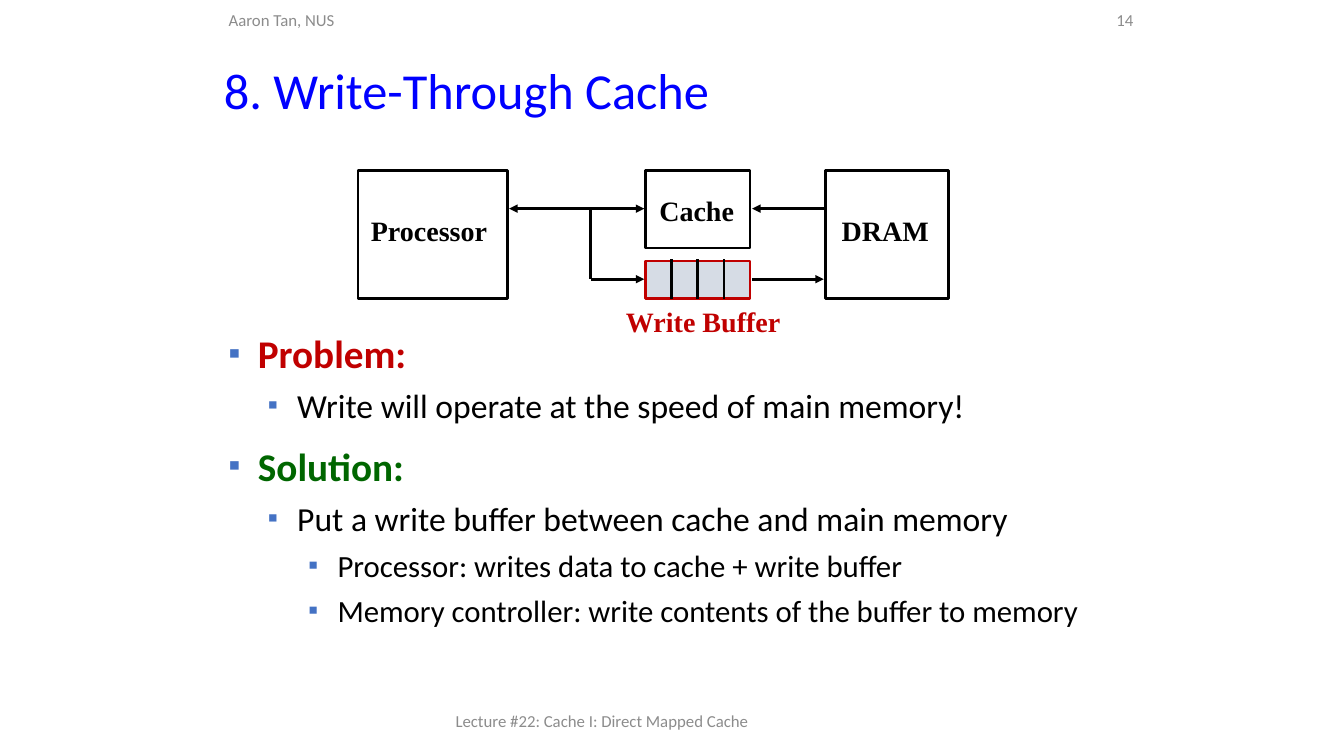
from pptx import Presentation
from pptx.dml.color import RGBColor
from pptx.enum.shapes import MSO_CONNECTOR as Connector, MSO_SHAPE as Shape
from pptx.enum.text import MSO_ANCHOR as Anchor, PP_ALIGN as Align
from pptx.oxml.ns import qn
from pptx.util import Inches, Pt
from lxml.etree import SubElement

BLACK, RED, GREEN, BLUE = "000000", "C00000", "006600", "0000FF"
GRAY, BULLET, BUFFER_FILL = "8C8C8C", "4472C4", "D6DCE5"
BODY_FONT, DIAGRAM_FONT = "Calibri", "Times New Roman"

# level: (left margin, bullet size in percent)
LEVELS = [(0.29, 85), (0.68, 85), (1.08, 90)]
HANGING = 0.29

# text, level, size, colour, bold, space before
BODY = [
    ("Problem:", 0, 28, RED, True, 0),
    ("Write will operate at the speed of main memory!", 1, 24, BLACK, False, 6),
    ("Solution:", 0, 28, GREEN, True, 12),
    ("Put a write buffer between cache and main memory", 1, 24, BLACK, False, 6),
    ("Processor: writes data to cache + write buffer", 2, 22, BLACK, False, 6),
    ("Memory controller: write contents of the buffer to memory", 2, 22, BLACK, False, 6),
]


def color(value):
    return RGBColor.from_string(value)


def write(para, text, size=20, fill=BLACK, font=BODY_FONT, bold=False, align=Align.LEFT):
    para.alignment = align
    span = para.add_run()
    span.text = text
    span.font.name = font
    span.font.size = Pt(size)
    span.font.bold = bold
    span.font.color.rgb = color(fill)


def add_text(page, area, text, anchor=Anchor.TOP, wrap=True, **style):
    frame = page.shapes.add_textbox(*map(Inches, area)).text_frame
    frame.word_wrap = wrap
    frame.vertical_anchor = anchor
    write(frame.paragraphs[0], text, **style)


def add_box(page, area, line=BLACK, fill=None):
    box = page.shapes.add_shape(Shape.RECTANGLE, *map(Inches, area))
    box.shadow.inherit = False
    box.line.color.rgb = color(line)
    box.line.width = Pt(2)
    if fill:
        box.fill.solid()
        box.fill.fore_color.rgb = color(fill)
    else:
        box.fill.background()


def add_line(page, start, end, head=False, tail=False):
    """Draw a line with an arrowhead at its start (head) or end (tail)."""
    points = map(Inches, (*start, *end))
    link = page.shapes.add_connector(Connector.STRAIGHT, *points)
    link.line.color.rgb = color(BLACK)
    link.line.width = Pt(2)
    line = link.line._get_or_add_ln()
    for tag, wanted in (("a:headEnd", head), ("a:tailEnd", tail)):
        if wanted:
            SubElement(line, qn(tag), type="triangle")
    SubElement(link._element.spPr, qn("a:effectLst"))


def set_bullet(para, level):
    margin, percent = LEVELS[level]
    para.level = level
    props = para._p.get_or_add_pPr()
    props.set("marL", str(Inches(margin)))
    props.set("indent", str(-Inches(HANGING)))
    SubElement(SubElement(props, qn("a:buClr")), qn("a:srgbClr"), val=BULLET)
    SubElement(props, qn("a:buSzPct"), val=str(percent * 1000))
    SubElement(props, qn("a:buFont"), typeface=BODY_FONT)
    SubElement(props, qn("a:buChar"), char="▪")


def add_title(page, text):
    title = page.shapes.title
    title.left, title.top, title.width, title.height = map(Inches, (2.12, 0.57, 9.21, 0.7))
    title.text_frame.vertical_anchor = Anchor.MIDDLE
    para = title.text_frame.paragraphs[0]
    para.line_spacing = 0.9
    write(para, text, size=36, fill=BLUE)


def add_body(page):
    frame = page.shapes.add_textbox(*map(Inches, (2.17, 3.22, 9, 3.48))).text_frame
    frame.word_wrap = True
    for index, (text, level, size, fill, bold, space) in enumerate(BODY):
        para = frame.add_paragraph() if index else frame.paragraphs[0]
        para.space_before = Pt(space)
        set_bullet(para, level)
        write(para, text, size=size, fill=fill, bold=bold)


def add_diagram(page):
    label = dict(font=DIAGRAM_FONT, bold=True)
    cache_y, buffer_y, branch_x = 2.07, 2.77, 5.86

    add_box(page, (3.55, 1.69, 1.48, 1.27))
    add_text(page, (3.58, 2.07, 1.46, 0.43), "Processor", **label)
    add_box(page, (6.4, 1.69, 1.04, 0.77))
    add_text(page, (6.4, 1.87, 1.02, 0.43), "Cache", align=Align.CENTER, **label)
    add_box(page, (8.19, 1.69, 1.22, 1.27))
    add_text(page, (8.25, 2.07, 1.07, 0.43), "DRAM", wrap=False, **label)

    add_box(page, (6.4, 2.59, 1.04, 0.37), line=RED, fill=BUFFER_FILL)
    for slot in range(1, 4):
        x = 6.4 + slot * 1.04 / 4
        add_line(page, (x, 2.57), (x, 2.97))
    add_text(page, (6.11, 2.97, 1.76, 0.43), "Write Buffer", fill=RED, **label)

    add_line(page, (5.05, cache_y), (6.39, cache_y), head=True, tail=True)
    add_line(page, (branch_x, cache_y), (branch_x, buffer_y))
    add_line(page, (branch_x, buffer_y), (6.39, buffer_y), tail=True)
    add_line(page, (7.46, cache_y), (8.17, cache_y), head=True)
    add_line(page, (7.46, buffer_y), (8.17, buffer_y), tail=True)


def main():
    deck = Presentation()
    deck.slide_width, deck.slide_height = Inches(13.33), Inches(7.5)
    page = deck.slides.add_slide(deck.slide_layouts[5])

    add_title(page, "8. Write-Through Cache")
    small = dict(size=12, fill=GRAY, anchor=Anchor.MIDDLE)
    add_text(page, (2.17, 0.02, 3.17, 0.36), "Aaron Tan, NUS", **small)
    add_text(page, (10.39, 0.02, 0.95, 0.36), "14", align=Align.RIGHT, **small)
    add_text(page, (4.42, 6.95, 4.5, 0.4), "Lecture #22: Cache I: Direct Mapped Cache", **small)
    add_body(page)
    add_diagram(page)
    deck.save("out.pptx")


if __name__ == "__main__":
    main()
